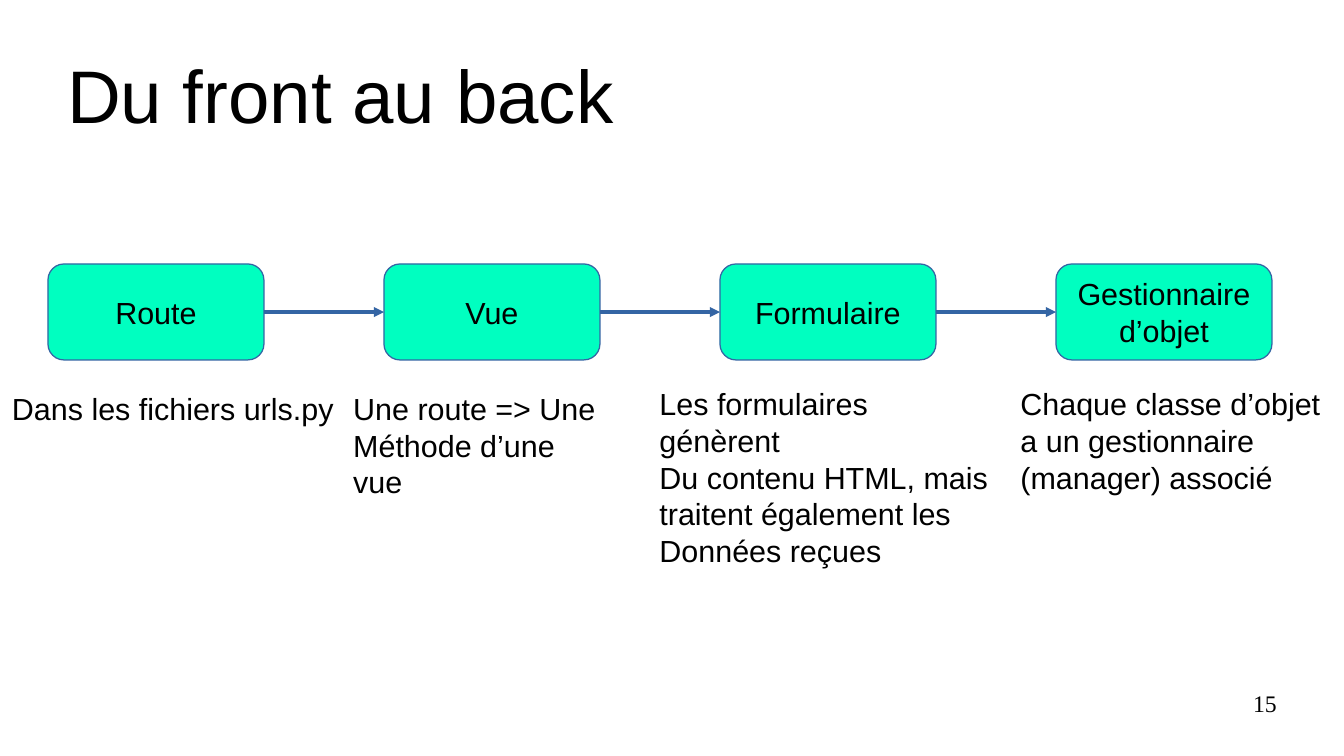
from lxml import etree
from pptx import Presentation
from pptx.dml.color import RGBColor
from pptx.enum.shapes import MSO_CONNECTOR, MSO_SHAPE
from pptx.enum.text import MSO_ANCHOR, PP_ALIGN
from pptx.oxml.ns import qn
from pptx.util import Cm, Pt

BLACK = RGBColor(0x00, 0x00, 0x00)
MINT = RGBColor(0x00, 0xFF, 0xC0)
BLUE = RGBColor(0x34, 0x65, 0xA4)
ROUNDED = MSO_SHAPE.ROUNDED_RECTANGLE
STRAIGHT = MSO_CONNECTOR.STRAIGHT
TOP, MIDDLE = MSO_ANCHOR.TOP, MSO_ANCHOR.MIDDLE
LEFT, CENTER, RIGHT = PP_ALIGN.LEFT, PP_ALIGN.CENTER, PP_ALIGN.RIGHT


def write(sp, lines, size=18, name="Arial", align=LEFT, anchor=TOP, wrap=True, inset=(0, 0)):
    tf = sp.text_frame
    side, edge = Cm(inset[0]), Cm(inset[1])
    frame = {"word_wrap": wrap, "vertical_anchor": anchor, "margin_left": side,
             "margin_right": side, "margin_top": edge, "margin_bottom": edge}
    for key, value in frame.items():
        setattr(tf, key, value)
    for i, line in enumerate(lines):
        p = tf.add_paragraph() if i else tf.paragraphs[0]
        p.alignment = align
        r = p.add_run()
        r.text = line
        for key, value in {"size": Pt(size), "name": name}.items():
            setattr(r.font, key, value)
        r.font.color.rgb = BLACK


def add_text(left, top, width, height, lines, **style):
    sp = s.shapes.add_textbox(Cm(left), Cm(top), Cm(width), Cm(height))
    write(sp, lines, **style)


prs = Presentation()
prs.slide_width, prs.slide_height = Cm(28), Cm(15.75)
s = prs.slides.add_slide(prs.slide_layouts[6])

add_text(1.4, 0.63, 25.2, 2.63, ["Du front au back"], size=44, anchor=MIDDLE)

steps = [["Route"], ["Vue"], ["Formulaire"], ["Gestionnaire", "d’objet"]]
boxes = []
for i, label in enumerate(steps):
    sp = s.shapes.add_shape(ROUNDED, Cm(1 + 7 * i), Cm(5.5), Cm(4.5), Cm(2))
    sp.shadow.inherit = False
    sp.fill.solid()
    sp.fill.fore_color.rgb = MINT
    sp.line.color.rgb = BLUE
    sp.line.width = Pt(0)
    write(sp, label, align=CENTER, anchor=MIDDLE, inset=(0.25, 0.13))
    boxes.append(sp)

notes = [
    (0, 8, 7.21, 0.97, ["Dans les fichiers urls.py"]),
    (7.11, 8, 5.89, 1.68, ["Une route => Une", "Méthode d’une vue"]),
    (13.49, 7.9, 7.52, 3.1, ["Les formulaires génèrent", "Du contenu HTML, mais",
                             "traitent également les", "Données reçues"]),
    (21.01, 7.9, 6.76, 2.39, ["Chaque classe d’objet", "a un gestionnaire",
                              "(manager) associé"]),
]
for note in notes:
    add_text(*note, wrap=False, inset=(0.25, 0.13))

for start, end in zip(boxes, boxes[1:]):
    arrow = s.shapes.add_connector(STRAIGHT, 0, 0, 0, 0)
    arrow.begin_connect(start, 3)
    arrow.end_connect(end, 1)
    arrow.line.color.rgb = BLUE
    arrow.line.width = Pt(0)
    etree.SubElement(arrow.line._get_or_add_ln(), qn("a:tailEnd"), type="triangle")
    etree.SubElement(arrow._element.spPr, qn("a:effectLst"))

add_text(20.07, 14.35, 6.53, 1.09, ["15"], size=14, name="Times New Roman", align=RIGHT)

prs.save("out.pptx")
